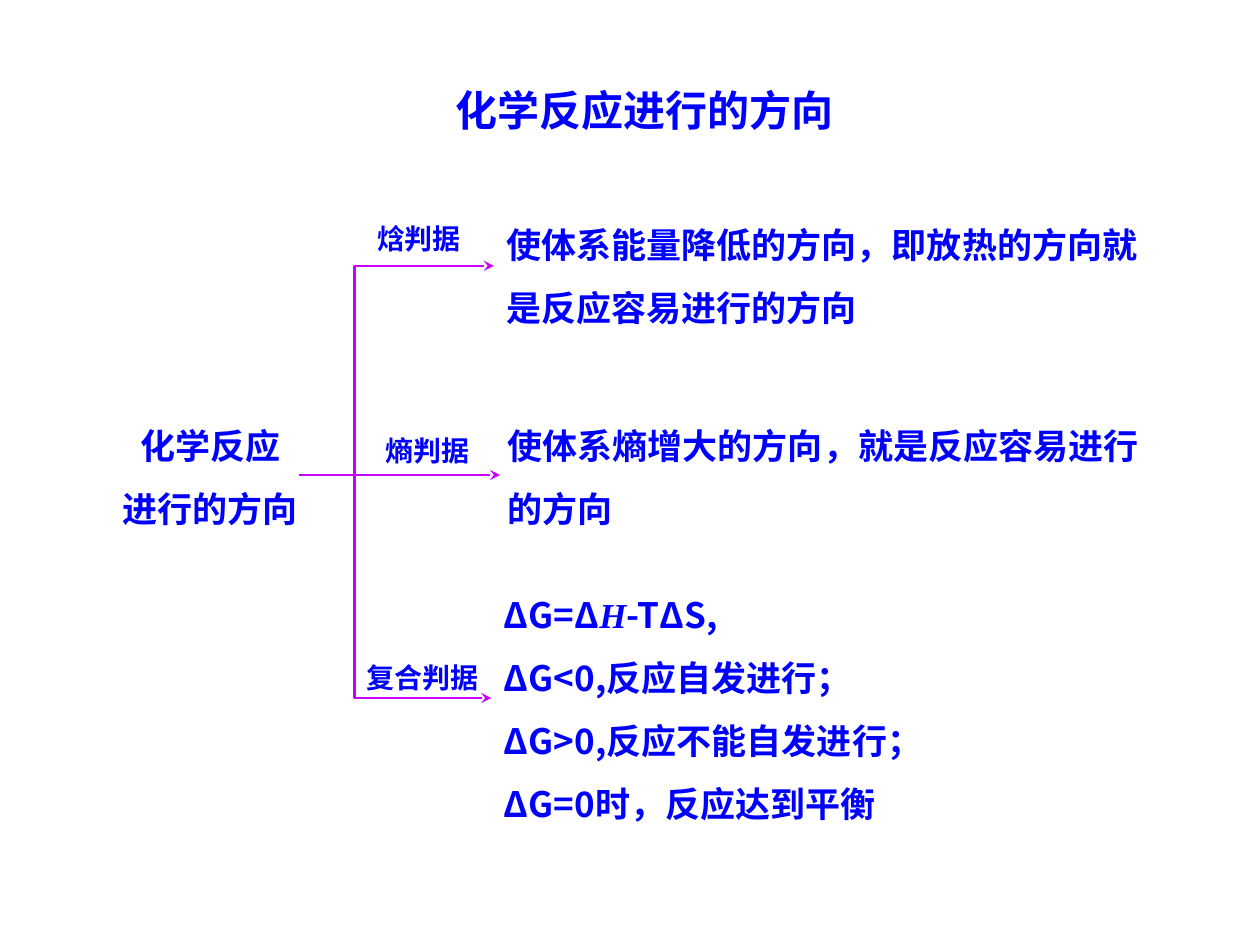
from lxml.etree import SubElement
from pptx import Presentation
from pptx.dml.color import RGBColor
from pptx.enum.shapes import MSO_CONNECTOR
from pptx.enum.text import MSO_ANCHOR, MSO_AUTO_SIZE, PP_ALIGN
from pptx.oxml.ns import qn
from pptx.util import Inches, Pt

COLORS = {"text": "0000FF", "arrow": "CC00FF"}
SANS = "Noto Sans CJK SC"
SERIF = "Times New Roman"


def add_text(page, bounds, paragraphs, size=20, font=SANS, align=PP_ALIGN.LEFT,
             anchor=MSO_ANCHOR.MIDDLE, spacing=1.5):
    box = page.shapes.add_textbox(*map(Inches, bounds))
    frame = box.text_frame
    frame.word_wrap = True
    frame.auto_size = MSO_AUTO_SIZE.SHAPE_TO_FIT_TEXT
    frame.vertical_anchor = anchor
    for index, spans in enumerate(paragraphs):
        para = frame.add_paragraph() if index else frame.paragraphs[0]
        para.alignment = align
        para.line_spacing = spacing
        for words, italic in [(spans, False)] if isinstance(spans, str) else spans:
            span = para.add_run()
            span.text = words
            span.font.size = Pt(size)
            span.font.bold = True
            span.font.italic = italic
            span.font.name = SERIF if italic else font
            span.font.color.rgb = RGBColor.from_string(COLORS["text"])
            east_asian = SubElement(span.font._element, qn("a:ea"))
            east_asian.set("typeface", SANS)


def add_arrow(page, kind, start, end, ends):
    arrow = page.shapes.add_connector(kind, *map(Inches, start + end))
    arrow.line.color.rgb = RGBColor.from_string(COLORS["arrow"])
    arrow.line.width = Pt(1.5)
    outline = arrow.line._get_or_add_ln()
    for name in ends:
        SubElement(outline, qn(f"a:{name}")).set("type", "stealth")
    SubElement(arrow._element.spPr, qn("a:effectLst"))
    return arrow


def draw_bracket(page, left, top, width, height):
    right = left + width
    tip_gap = 0.02
    bracket = add_arrow(page, MSO_CONNECTOR.ELBOW, (right - tip_gap, top + height),
                        (right, top), ("headEnd", "tailEnd"))
    properties = bracket._element.spPr
    properties.find(qn("a:xfrm")).set("rot", "10800000")
    adjustments = properties.find(qn("a:prstGeom")).find(qn("a:avLst"))
    guide = SubElement(adjustments, qn("a:gd"))
    guide.set("name", "adj1")
    guide.set("fmla", f"val {round(width / tip_gap * 100000)}")
    add_arrow(page, MSO_CONNECTOR.STRAIGHT, (left - 0.45, 3.77), (right + 0.05, 3.77),
              ("tailEnd",))


def draw_branch(page, label, label_at, lines, bounds, font=SANS):
    add_text(page, bounds, lines, font=font)
    add_text(page, (*label_at, 1.17, 0.37), [label], size=16, font="Arial",
             align=PP_ALIGN.CENTER, spacing=1.0)


def draw_root(page, bounds):
    add_text(page, bounds, ["化学反应", "进行的方向"], font="Arial",
             align=PP_ALIGN.CENTER)


def draw_title(page, bounds):
    add_text(page, bounds, ["化学反应进行的方向"], size=24, align=PP_ALIGN.CENTER,
             anchor=MSO_ANCHOR.TOP, spacing=1.3)


def main():
    deck = Presentation()
    deck.slide_width, deck.slide_height = Inches(10), Inches(7.5)
    page = deck.slides.add_slide(deck.slide_layouts[6])
    draw_title(page, (3.11, 0.5, 4.01, 0.62))
    draw_root(page, (0.78, 3.15, 1.78, 1.1))
    draw_bracket(page, 2.82, 2.11, 1.1, 3.43)
    draw_branch(page, "焓判据", (2.74, 1.71),
                ["使体系能量降低的方向，即放热的方向就是反应容易进行的方向"],
                (3.92, 1.56, 5.39, 1.1), font="Arial")
    draw_branch(page, "熵判据", (2.81, 3.39),
                ["使体系熵增大的方向，就是反应容易进行的方向"],
                (3.93, 3.15, 5.39, 1.1))
    draw_branch(page, "复合判据", (2.77, 5.19),
                [[("ΔG=Δ", False), ("H", True), ("-TΔS,", False)],
                 "ΔG<0,反应自发进行；", "ΔG>0,反应不能自发进行；", "ΔG=0时，反应达到平衡"],
                (3.9, 4.49, 5.39, 2.1))
    deck.save("out.pptx")


if __name__ == "__main__":
    main()
